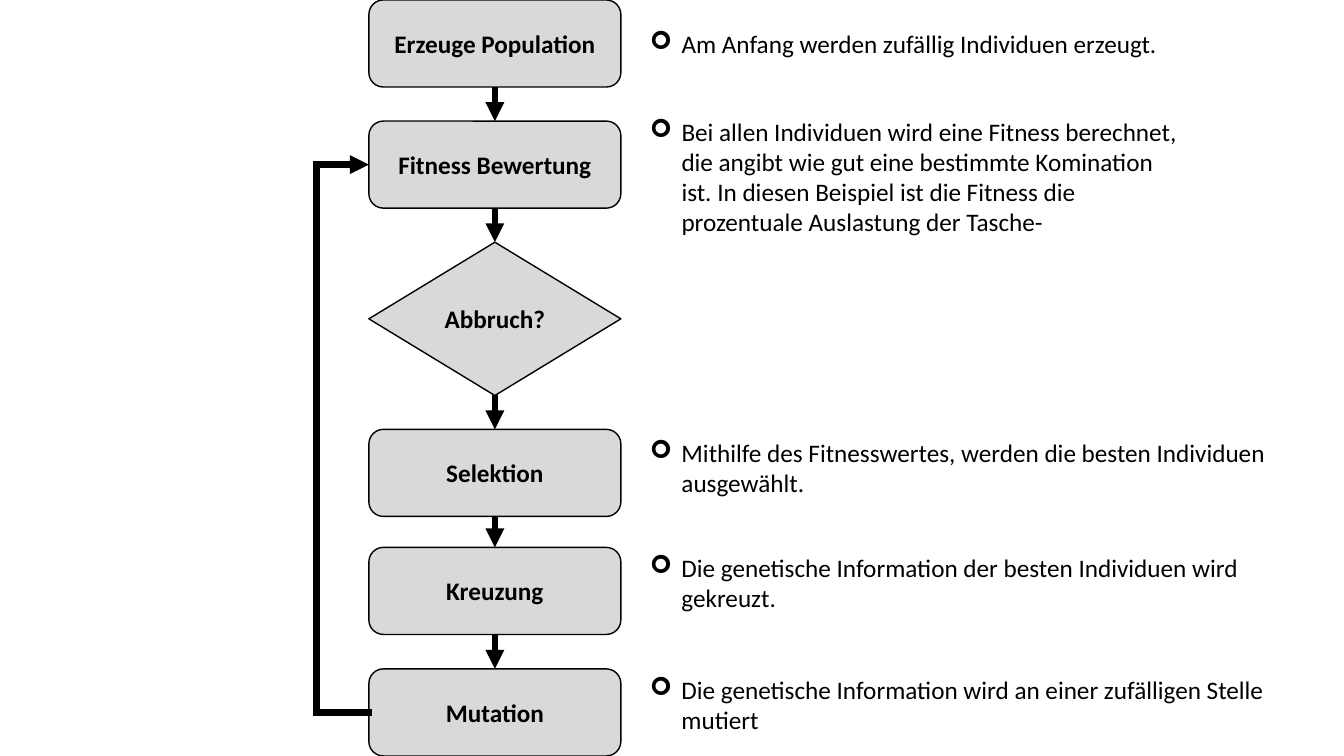
from itertools import pairwise
from lxml.etree import SubElement
from pptx import Presentation
from pptx.dml.color import RGBColor
from pptx.enum.shapes import MSO_CONNECTOR as Connector, MSO_SHAPE as Preset
from pptx.enum.text import MSO_ANCHOR as Anchor, PP_ALIGN as Align
from pptx.oxml.ns import qn
from pptx.util import Pt

BLACK, GRAY = "000000", "D9D9D9"
TOP, LEFT, BOTTOM = 0, 1, 2
STEP, DECISION = Preset.FLOWCHART_ALTERNATE_PROCESS, Preset.FLOWCHART_DECISION
FLOW = (263.5, 0, 180)
NOTES = (457.2, 0)
STEP_HEIGHT, DECISION_HEIGHT, LOOP_OFFSET = 62.2, 109.5, 37.5

STEPS = [
    ("Erzeuge Population", STEP, 0),
    ("Fitness Bewertung", STEP, 86.5),
    ("Abbruch?", DECISION, 173),
    ("Selektion", STEP, 306.7),
    ("Kreuzung", STEP, 391),
    ("Mutation", STEP, 477.8),
]
EXPLANATIONS = [
    ("Am Anfang werden zufällig Individuen erzeugt.", 16.8, 381, 29),
    ("Bei allen Individuen wird eine Fitness berechnet, die angibt wie gut eine "
     "bestimmte Komination ist. In diesen Beispiel ist die Fitness die prozentuale "
     "Auslastung der Tasche-", 79.3, 398, 94.5),
    ("Mithilfe des Fitnesswertes, werden die besten Individuen ausgewählt.",
     308.8, 454.5, 51),
    ("Die genetische Information der besten Individuen wird gekreuzt.",
     391, 454.5, 51),
    ("Die genetische Information wird an einer zufälligen Stelle mutiert",
     478, 454.5, 51),
]


def color(hex_value):
    return RGBColor.from_string(hex_value)


def write(paragraph, text, bold=None):
    run = paragraph.add_run()
    run.text = text
    for name, value in {"name": "Calibri", "size": Pt(18), "bold": bold}.items():
        setattr(run.font, name, value)
    run.font.color.rgb = color(BLACK)


def add_step(slide, box, text, preset):
    shape = slide.shapes.add_shape(preset, *map(Pt, box))
    shape.shadow.inherit = False
    shape.fill.solid()
    shape.fill.fore_color.rgb = color(GRAY)
    shape.line.color.rgb = color(BLACK)
    shape.line.width = Pt(1)
    frame = shape.text_frame
    for name, value in {"word_wrap": True, "vertical_anchor": Anchor.MIDDLE}.items():
        setattr(frame, name, value)
    paragraph = frame.paragraphs[0]
    paragraph.alignment = Align.CENTER
    write(paragraph, text, True)
    return shape


def add_line(slide, start, end, arrow=False):
    line = slide.shapes.add_connector(Connector.STRAIGHT, *map(Pt, start + end))
    line.line.color.rgb = color(BLACK)
    line.line.width = Pt(4.5)
    properties = line._element.spPr
    outline = properties.find(qn("a:ln"))
    outline.set("cap", "flat" if arrow else "sq")
    if arrow:
        SubElement(outline, qn("a:tailEnd"), type="triangle")
    SubElement(properties, qn("a:effectLst"))
    return line


def add_flow(slide, box):
    left, top, width = box
    shapes = []
    for text, preset, offset in STEPS:
        height = DECISION_HEIGHT if preset == DECISION else STEP_HEIGHT
        shapes.append(add_step(slide, (left, top + offset, width, height), text, preset))
    for upper, lower in pairwise(shapes):
        arrow = add_line(slide, (0, 0), (0, 0), True)
        arrow.begin_connect(upper, BOTTOM)
        arrow.end_connect(lower, TOP)

    fitness, mutation = shapes[1], shapes[-1]
    loop_left = left - LOOP_OFFSET
    fitness_y, mutation_y = (
        (shape.top + shape.height / 2) / Pt(1) for shape in (fitness, mutation))
    exit_line = add_line(slide, (left, mutation_y), (loop_left, mutation_y))
    exit_line.begin_connect(mutation, LEFT)
    add_line(slide, (loop_left, mutation_y), (loop_left, fitness_y))
    entry_line = add_line(slide, (loop_left, fitness_y), (left, fitness_y), True)
    entry_line.end_connect(fitness, LEFT)


def add_explanations(slide, box):
    left, top = box
    for text, offset, width, height in EXPLANATIONS:
        text_box = slide.shapes.add_textbox(*map(Pt, (left, top + offset, width, height)))
        text_box.text_frame.word_wrap = True
        paragraph = text_box.text_frame.paragraphs[0]
        properties = paragraph._p.get_or_add_pPr()
        for name, value in {"marL": Pt(22.5), "indent": -Pt(22.5)}.items():
            properties.set(name, str(value))
        SubElement(properties, qn("a:buFont"), typeface="Wingdings")
        SubElement(properties, qn("a:buChar"), char="➢")
        write(paragraph, text)


def main():
    presentation = Presentation()
    presentation.slide_width, presentation.slide_height = Pt(960), Pt(540)
    slide = presentation.slides.add_slide(presentation.slide_layouts[6])
    add_flow(slide, FLOW)
    add_explanations(slide, NOTES)
    presentation.save("out.pptx")


if __name__ == "__main__":
    main()
